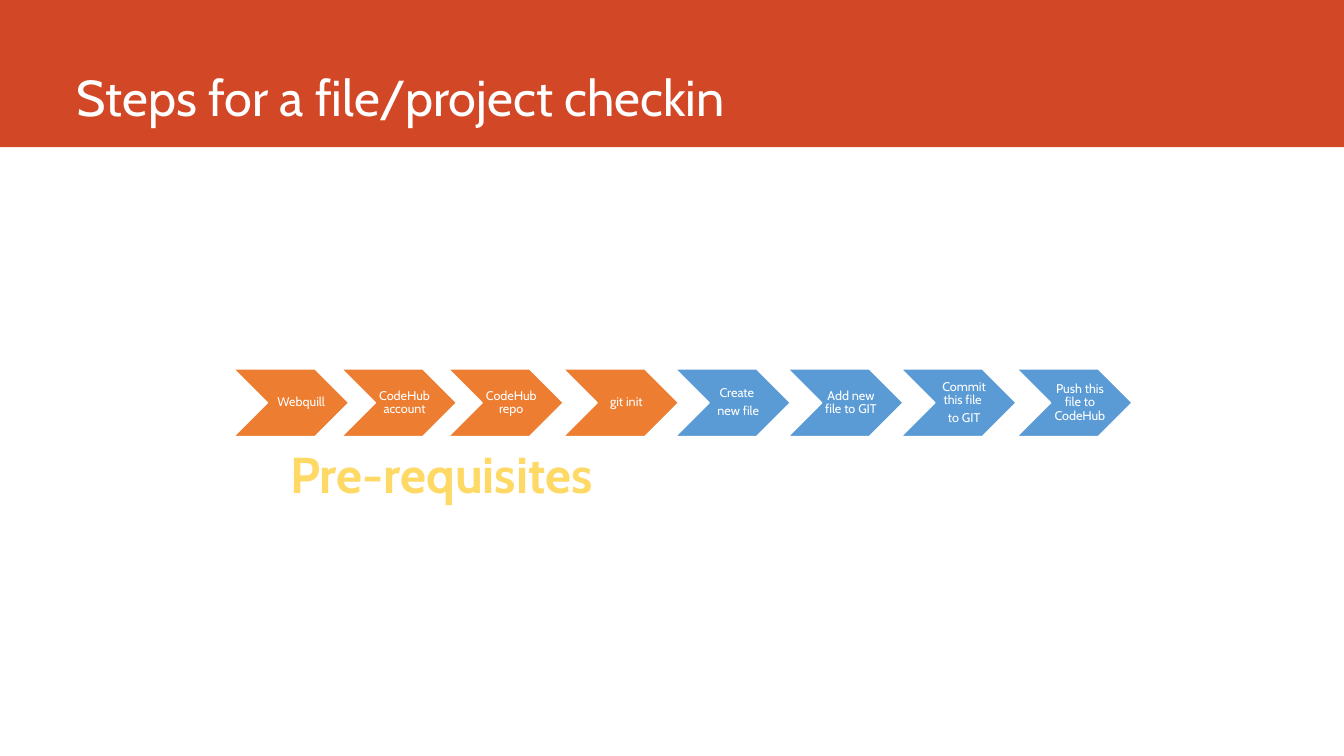
from dataclasses import dataclass

from pptx import Presentation
from pptx.dml.color import RGBColor
from pptx.enum.shapes import MSO_SHAPE as Preset
from pptx.enum.text import MSO_ANCHOR as Anchor, MSO_AUTO_SIZE as AutoSize, PP_ALIGN as Align
from pptx.util import Cm, Pt


@dataclass(frozen=True)
class Theme:
    """Colours, font and type sizes of the slide."""
    font: str = "Cabin"
    banner: str = "D24726"
    preparation: str = "ED7D31"
    checkin: str = "5B9BD5"
    white: str = "FFFFFF"
    caption: str = "FFD966"
    heading_size: int = 36
    step_size: int = 9


THEME = Theme()
STEPS = [
    (5.89, THEME.preparation, ["Webquill"]),
    (8.61, THEME.preparation, ["CodeHub account"]),
    (11.3, THEME.preparation, ["CodeHub repo"]),
    (14.2, THEME.preparation, ["git init"]),
    (17.02, THEME.checkin, ["Create ", "new file"]),
    (19.86, THEME.checkin, ["Add new file to GIT"]),
    (22.71, THEME.checkin, ["Commit this file ", "to GIT"]),
    (25.63, THEME.checkin, ["Push this file to CodeHub"]),
]


def write_text(shape, lines, *, size, color=THEME.white, bold=False, align=Align.LEFT,
               anchor=Anchor.TOP, wrap=True, line_spacing=None, space_after=None):
    """Fill a shape with one formatted paragraph per line."""
    frame = shape.text_frame
    frame.word_wrap = wrap
    frame.auto_size = AutoSize.NONE
    frame.vertical_anchor = anchor
    for index, line in enumerate(lines):
        paragraph = frame.add_paragraph() if index else frame.paragraphs[0]
        paragraph.text = line
        paragraph.alignment = align
        paragraph.line_spacing = line_spacing
        paragraph.space_after = space_after
        paragraph.font.name = THEME.font
        paragraph.font.size = Pt(size)
        paragraph.font.bold = bold
        paragraph.font.color.rgb = RGBColor.from_string(color)


def add_block(shapes, preset, box, color):
    """Add a flat filled shape without an outline."""
    shape = shapes.add_shape(preset, *box)
    shape.shadow.inherit = False
    shape.fill.solid()
    shape.fill.fore_color.rgb = RGBColor.from_string(color)
    shape.line.fill.background()
    return shape


def add_header(slide, left, top, width, height):
    """Place the banner and the title at its foot."""
    banner = add_block(slide.shapes, Preset.RECTANGLE, (left, top, width, height), THEME.banner)
    title = slide.shapes.title
    title.element.addprevious(banner.element)
    title.left, title.top = left + Cm(1.68), top
    title.width, title.height = Cm(29.87), height - Cm(0.36)
    write_text(title, ["Steps for a file/project checkin"], size=THEME.heading_size,
               anchor=Anchor.BOTTOM, line_spacing=0.9)


def add_step(slide, lines, color, left, top, width, height, label_left, label_width):
    """Group a chevron with its label."""
    group = slide.shapes.add_group_shape()
    chevron = add_block(group.shapes, Preset.CHEVRON, (left, top, width, height), color)
    chevron.line.color.rgb = RGBColor.from_string(THEME.white)
    chevron.line.width = Pt(1)
    label = group.shapes.add_textbox(left + label_left, top, label_width, height)
    frame = label.text_frame
    frame.margin_left = Cm(0.71)
    frame.margin_top = frame.margin_right = frame.margin_bottom = Cm(0.23)
    write_text(label, lines, size=THEME.step_size, align=Align.CENTER,
               anchor=Anchor.MIDDLE, line_spacing=0.9, space_after=Pt(3.15))


def add_process(slide, top, width, height):
    """Place the row of steps, giving the first one a wider label."""
    for index, (left, color, lines) in enumerate(STEPS):
        label_left, label_width = (Cm(0.09), Cm(2.51)) if index else (Cm(-0.18), Cm(3.28))
        add_step(slide, lines, color, Cm(left), top, width, height, label_left, label_width)


def add_caption(slide, left, top, width, height):
    """Name the preparation steps."""
    caption = slide.shapes.add_textbox(left, top, width, height)
    write_text(caption, ["Pre-requisites"], size=THEME.heading_size, color=THEME.caption,
               bold=True, align=Align.CENTER, wrap=False)


def main():
    """Build and save the slide."""
    presentation = Presentation()
    presentation.slide_width, presentation.slide_height = Cm(33.87), Cm(19.05)
    slide = presentation.slides.add_slide(presentation.slide_layouts[5])
    add_header(slide, 0, 0, presentation.slide_width, Cm(3.71))
    add_process(slide, Cm(9.3), Cm(2.9), Cm(1.7))
    add_caption(slide, Cm(6.71), Cm(11.05), Cm(8.84), Cm(1.8))
    presentation.save("out.pptx")


if __name__ == "__main__":
    main()
